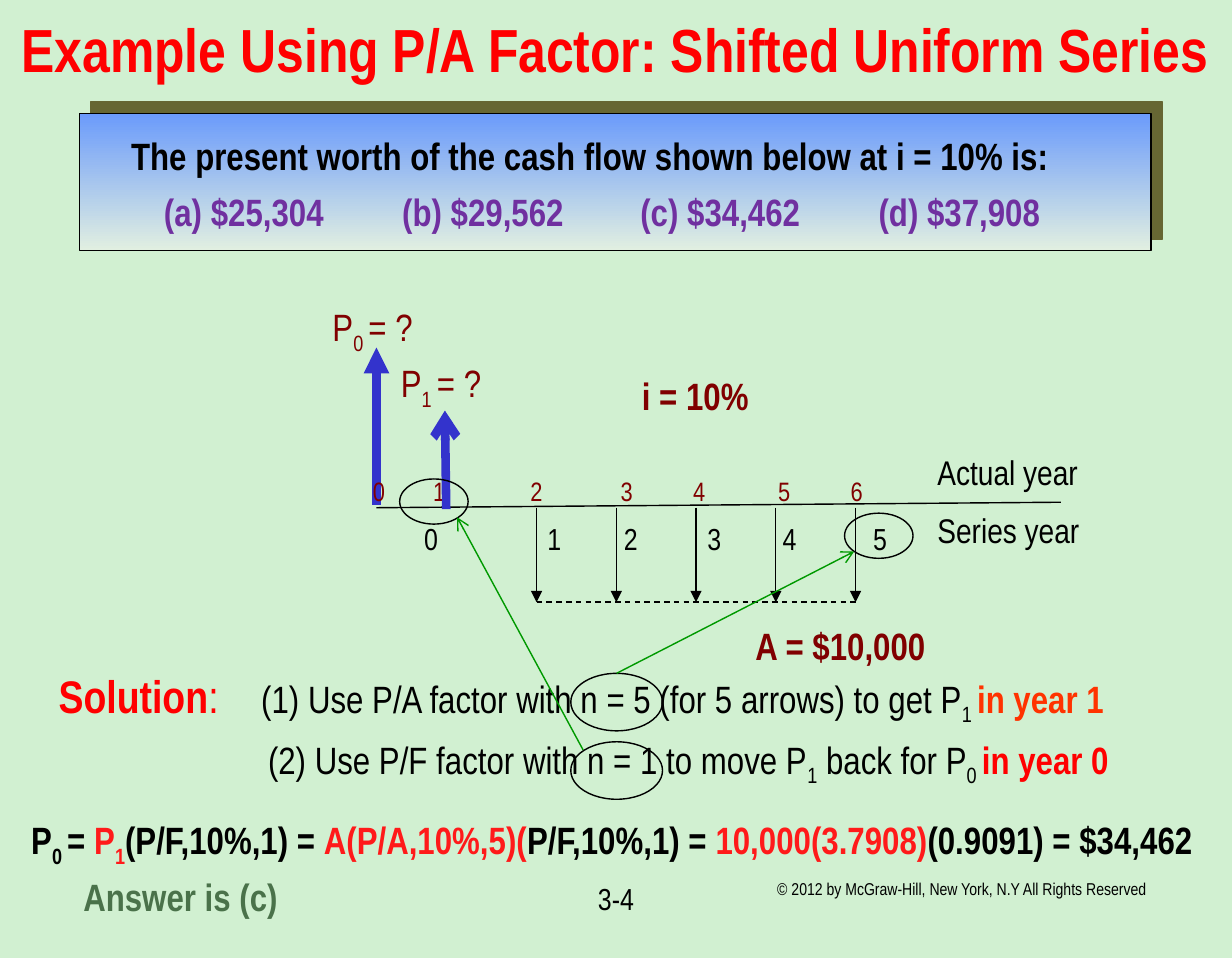
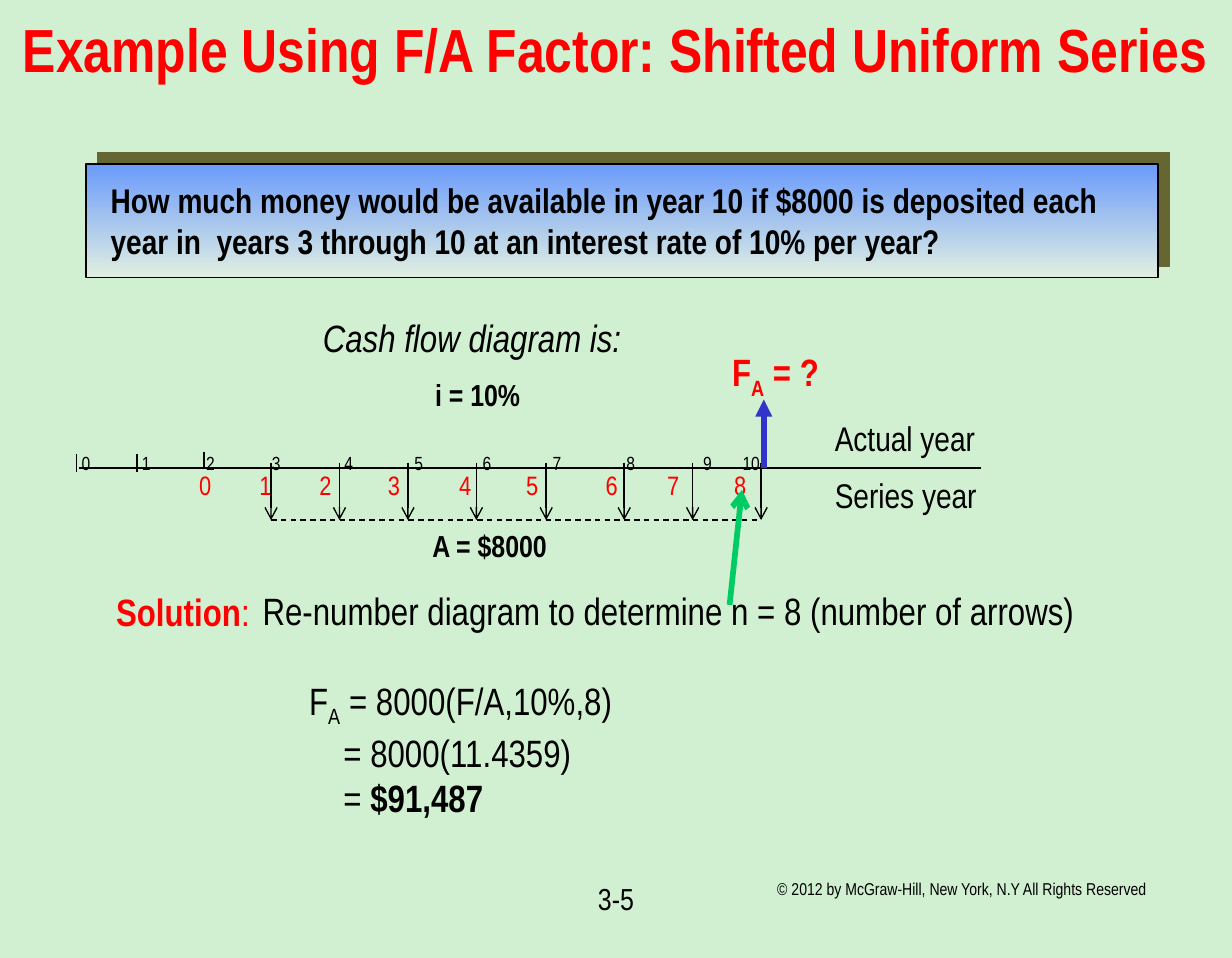
"""Build two slides on shifted uniform series."""
from lxml import etree
from pptx import Presentation
from pptx.dml.color import RGBColor
from pptx.enum.dml import MSO_LINE
from pptx.enum.shapes import MSO_CONNECTOR, MSO_SHAPE
from pptx.enum.text import MSO_ANCHOR, MSO_AUTO_SIZE, PP_ALIGN
from pptx.oxml.ns import qn
from pptx.util import Inches, Pt

STRAIGHT = MSO_CONNECTOR.STRAIGHT
RECT, OVAL = MSO_SHAPE.RECTANGLE, MSO_SHAPE.OVAL
DASH = MSO_LINE.DASH
CENTER = PP_ALIGN.CENTER
MIDDLE = MSO_ANCHOR.MIDDLE
NO_FIT = MSO_AUTO_SIZE.NONE

FONT = "Arial Narrow"
INSET = 0.1
BACKGROUND = RGBColor(0xD1, 0xF0, 0xD1)
BLACK = RGBColor(0, 0, 0)
RED = RGBColor(0xFF, 0, 0)
BRIGHT_RED = RGBColor(0xFF, 0x1A, 0x1A)
ORANGE = RGBColor(0xFF, 0x33, 0)
MAROON = RGBColor(0x80, 0, 0)
PURPLE = RGBColor(0x70, 0x30, 0xA0)
BLUE = RGBColor(0x33, 0x33, 0xCC)
GREEN = RGBColor(0, 0x99, 0)
BRIGHT_GREEN = RGBColor(0, 0xCC, 0x66)
ANSWER_GREEN = RGBColor(0x4A, 0x72, 0x4A)
PANEL_TOP = RGBColor(0x6B, 0x9B, 0xFB)
PANEL_BOTTOM = RGBColor(0xE1, 0xEF, 0xE1)
PANEL_SHADOW = "666633"


def box(at):
    """Turn left, top, width and height in inches into lengths."""
    return [Inches(v) for v in at]


def add_tabs(p, stops, align):
    """Give a paragraph tab stops, in inches from its text edge."""
    tab_list = etree.SubElement(p._p.get_or_add_pPr(), qn("a:tabLst"))
    for stop in stops:
        etree.SubElement(tab_list, qn("a:tab"), pos=str(Inches(stop)), algn=align)


def add_run(p, text, color=None, bold=None, size=None, sub=False):
    """Add a run with the settings that differ from its paragraph."""
    r = p.add_run()
    r.text = text
    if color is not None:
        r.font.color.rgb = color
    if bold is not None:
        r.font.bold = bold
    if size:
        r.font.size = Pt(size)
    if sub:
        r._r.get_or_add_rPr().set("baseline", "-25000")


def format_paragraph(p, size, color, bold=False, italic=False):
    """Set the font that the runs of a paragraph share."""
    p.font.name = FONT
    p.font.size = Pt(size)
    p.font.bold = bold
    p.font.italic = italic
    p.font.color.rgb = color


def add_text(s, at, runs, size, color=BLACK, bold=False, italic=False,
             align=None, tabs=(), tab_align="l"):
    """Add a one-paragraph text box; runs is a string or (text, settings) pairs."""
    tf = s.shapes.add_textbox(*box(at)).text_frame
    tf.word_wrap = True
    p = tf.paragraphs[0]
    fill_paragraph(p, runs, size, color, bold, italic, align, tabs, tab_align)
    return tf


def fill_paragraph(p, runs, size, color=BLACK, bold=False, italic=False,
                   align=None, tabs=(), tab_align="l"):
    """Write and format one paragraph."""
    if tabs:
        add_tabs(p, tabs, tab_align)
    if align is not None:
        p.alignment = align
    format_paragraph(p, size, color, bold, italic)
    for text, settings in [(runs, {})] if isinstance(runs, str) else runs:
        add_run(p, text, **settings)


def add_numbers(s, top, centers, size, color=BLACK):
    """Add a row of numbers from 0, each centred on its place."""
    left = centers[0] - 0.25
    add_text(s, (left, top, centers[-1] - centers[0] + 0.5, 0.35),
             "".join(f"\t{n}" for n in range(len(centers))), size, color,
             tabs=[c - left - INSET for c in centers], tab_align="ctr")


def add_line(s, start, end, color=BLACK, width=0.75, head=None, dash=None):
    """Add a straight line, with an arrowhead at its end if one is named."""
    c = s.shapes.add_connector(STRAIGHT, *box(start + end))
    c.line.color.rgb = color
    c.line.width = Pt(width)
    if dash is not None:
        c.line.dash_style = dash
    if head:
        etree.SubElement(c.line._get_or_add_ln(), qn("a:tailEnd"), type=head)
    etree.SubElement(c._element.spPr, qn("a:effectLst"))
    return c


def add_outline(s, shape, at):
    """Add a preset shape with a thin black outline."""
    sp = s.shapes.add_shape(shape, *box(at))
    sp.shadow.inherit = False
    sp.line.color.rgb = BLACK
    sp.line.width = Pt(0.75)
    return sp


def add_ring(s, at):
    """Add an unfilled ellipse around a value."""
    sp = add_outline(s, OVAL, at)
    sp.fill.background()
    return sp


def add_panel(s, at):
    """Add the gradient question panel with its hard shadow."""
    sp = add_outline(s, RECT, at)
    sp.fill.gradient()
    sp.fill.gradient_angle = 270
    for stop, color, position in zip(sp.fill.gradient_stops, (PANEL_TOP, PANEL_BOTTOM), (0, 1)):
        stop.color.rgb = color
        stop.position = position
    effects = sp._element.spPr.find(qn("a:effectLst"))
    shadow = etree.SubElement(effects, qn("a:outerShdw"), blurRad="0",
                              dist=str(Pt(8.5)), dir="18900000", algn="ctr", rotWithShape="0")
    etree.SubElement(shadow, qn("a:srgbClr"), val=PANEL_SHADOW)


def add_slide(prs, title, number):
    """Add a slide with its title, page number and copyright line."""
    s = prs.slides.add_slide(prs.slide_layouts[5])
    sp = s.shapes.title
    sp.left, sp.top, sp.width, sp.height = box((0, 0.03, 9, 0.64))
    tf = sp.text_frame
    tf.auto_size = NO_FIT
    tf.vertical_anchor = MIDDLE
    tf.word_wrap = True
    fill_paragraph(tf.paragraphs[0], title, 32, RED, bold=True, align=CENTER)
    add_text(s, (5.58, 6.37, 3.17, 0.46),
             "© 2012 by McGraw-Hill, New York, N.Y All Rights Reserved", 9)
    add_text(s, (3.9, 6.38, 1.2, 0.47), number, 16, align=CENTER)
    return s


def add_year_labels(s, left, top):
    """Name the numbers above and below the time line."""
    for i, label in enumerate(("Actual year", "Series year")):
        add_text(s, (left, top + 0.42 * i, 1.42, 0.4), label, 18)


def add_payments(s, xs, top, bottom, head):
    """Add the equal payment arrows and the dashed line that joins them."""
    for x in xs:
        add_line(s, (x, top), (x, bottom), head=head)
    add_line(s, (xs[0], bottom), (xs[-1], bottom), dash=DASH)


def build_present_worth(prs):
    """Build the P/A example."""
    s = add_slide(prs, "Example Using P/A Factor: Shifted Uniform Series", "3-4")
    sub = {"sub": True}
    red = {"color": BRIGHT_RED}

    add_panel(s, (0.58, 0.83, 7.83, 1))
    add_text(s, (0.86, 0.92, 7, 0.44),
             "The present worth of the cash flow shown below at i = 10% is:", 20, bold=True)
    add_text(s, (1.1, 1.33, 6.8, 0.44),
             "(a) $25,304\t(b) $29,562\t(c) $34,462\t(d) $37,908", 20, PURPLE, bold=True,
             tabs=[1.74 * i for i in (1, 2, 3)])

    for n, left, top in (("0 ", 2.33, 2.17), ("1 ", 2.83, 2.58)):
        add_text(s, (left, top, 1.08, 0.48), [("P", {}), (n, sub), ("= ?", {})], 20, MAROON)
    add_text(s, (4.59, 2.67, 1.08, 0.44), "i = 10%", 20, MAROON, bold=True)
    add_text(s, (5.42, 4.5, 1.55, 0.44), "A = $10,000", 20, MAROON, bold=True)

    add_line(s, (2.75, 3.69), (2.75, 2.54), BLUE, 4.5, "triangle")
    add_payments(s, [3.92 + 0.5825 * i for i in range(5)], 3.71, 4.4, "triangle")
    add_numbers(s, 3.42, (2.77, 3.21, 3.92, 4.58, 5.11, 5.73, 6.26), 14, MAROON)
    add_line(s, (2.75, 3.71), (7.75, 3.67))
    add_numbers(s, 3.75, (3.15, 4.05, 4.61, 5.22, 5.77, 6.43), 16)
    add_line(s, (3.26, 3.72), (3.25, 3), BLUE, 4.5, "arrow")
    add_year_labels(s, 6.75, 3.25)

    add_text(s, (0.33, 4.83, 8.42, 0.54),
             [("Solution", {"color": RED, "bold": True, "size": 24}),
              (":\t", {"color": RED, "size": 24}),
              ("(1) Use P/A factor with n = 5 (for 5 arrows) to get P", {}),
              ("1 ", sub), ("in year 1", {"color": ORANGE, "bold": True})], 20, tabs=[1.48])
    add_text(s, (1.86, 5.33, 6.5, 0.48),
             [("(2) Use P/F factor with n = 1 to move P", {}), ("1", sub),
              (" back for P", {}), ("0 ", sub),
              ("in year 0", {"color": RED, "bold": True})], 20)
    add_text(s, (0.13, 5.92, 8.87, 0.48),
             [("P", {}), ("0 ", sub), ("= ", {}), ("P", red), ("1", {**red, **sub}),
              ("(P/F,10%,1) = ", {}), ("A(P/A,10%,5)(", red), ("P/F,10%,1) = ", {}),
              ("10,000(3.7908)", red), ("(0.9091) = $34,462", {})], 20, bold=True)
    add_text(s, (0.51, 6.33, 1.72, 0.44), "Answer is (c)", 20, ANSWER_GREEN, bold=True)

    for left, top in ((2.92, 3.5), (6.17, 3.75)):
        add_ring(s, (left, top, 0.5, 0.33))
    five_ring, _ = [add_ring(s, (4.17, top, 0.67, 0.42)) for top in (4.92, 5.42)]
    c = add_line(s, (4.5, 4.92), (6.24, 4.03), GREEN, head="arrow")
    c.begin_connect(five_ring, 0)
    add_line(s, (4.26, 5.48), (3.34, 3.78), GREEN, head="arrow")


def build_future_worth(prs):
    """Build the F/A example."""
    s = add_slide(prs, "Example Using F/A Factor: Shifted Uniform Series", "3-5")
    sub = {"sub": True}

    add_panel(s, (0.63, 1.2, 7.83, 0.83))
    add_text(s, (0.71, 1.26, 7.67, 0.7),
             "How much money would be available in year 10 if $8000 is deposited each "
             "year in  years 3 through 10 at an interest rate of 10% per year?", 18, bold=True)
    add_text(s, (2.26, 2.25, 2.48, 0.44), "Cash flow diagram is:", 20, italic=True)
    add_text(s, (3.08, 2.7, 0.92, 0.37), "i = 10%", 16, bold=True)
    add_text(s, (5.25, 2.5, 0.93, 0.48), [("F", {}), ("A", sub), (" = ?", {})], 20, RED, bold=True)

    add_payments(s, (1.98, 2.48, 2.98, 3.48, 3.99, 4.56, 5.06, 5.56), 3.38, 3.8, "arrow")
    for x, top in ((0.56, 3.32), (1, 3.32), (1.49, 3.3)):
        add_line(s, (x, top), (x, top + 0.13))
    add_numbers(s, 3.25, (0.63, 1.07, 1.54, 2.02, 2.55, 3.06, 3.56, 4.07, 4.61, 5.17, 5.49), 10)
    add_numbers(s, 3.38, (1.5, 1.94, 2.38, 2.88, 3.4, 3.89, 4.47, 4.92, 5.41), 14, RED)
    add_line(s, (0.58, 3.42), (7.17, 3.42))
    add_line(s, (5.58, 3.42), (5.58, 2.92), BLUE, 3, "triangle")
    add_text(s, (3.06, 3.8, 1.14, 0.37), "A = $8000", 16, bold=True)
    add_year_labels(s, 6, 3)

    add_text(s, (0.75, 4.25, 1.27, 0.44),
             [("Solution", {"bold": True}), (":", {})], 20, RED)
    add_text(s, (1.82, 4.24, 6.25, 0.44),
             "Re-number diagram to determine n = 8 (number of arrows)", 20)
    add_line(s, (5.33, 4.42), (5.42, 3.58), BRIGHT_GREEN, 3, "arrow")

    tf = add_text(s, (2.16, 4.9, 2.55, 1.15),
                  [("F", {}), ("A", sub), (" = 8000(F/A,10%,8)", {})], 20)
    for runs in ("= 8000(11.4359)", [("= ", {}), ("$91,487", {"bold": True})]):
        p = tf.add_paragraph()
        p._p.get_or_add_pPr().set("marL", str(Inches(0.25)))
        fill_paragraph(p, runs, 20)


def main():
    """Build and save the slides."""
    prs = Presentation()
    prs.slide_width, prs.slide_height = Inches(9), Inches(7)
    fill = prs.slide_master.background.fill
    fill.solid()
    fill.fore_color.rgb = BACKGROUND
    build_present_worth(prs)
    build_future_worth(prs)
    prs.save("out.pptx")


if __name__ == "__main__":
    main()
